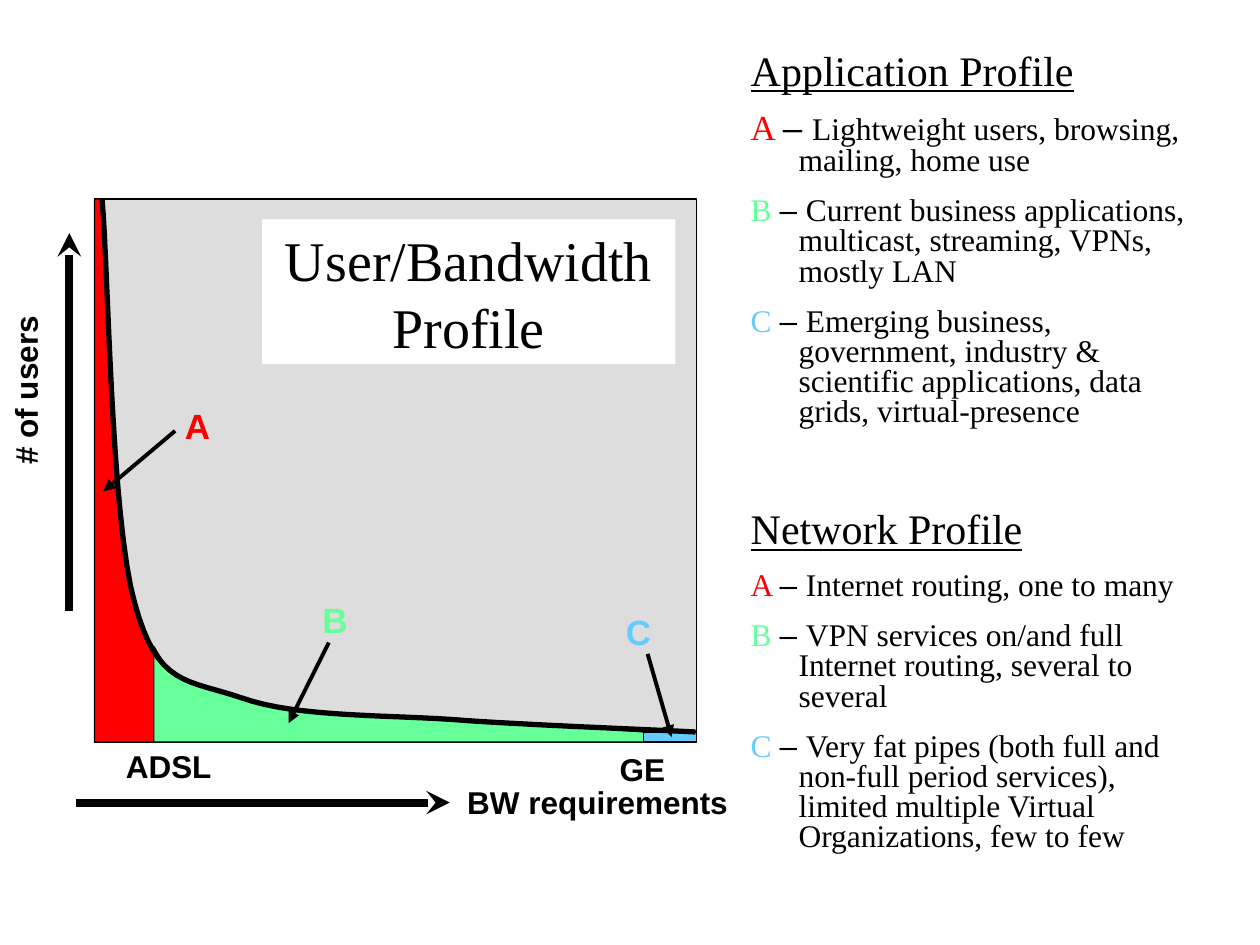
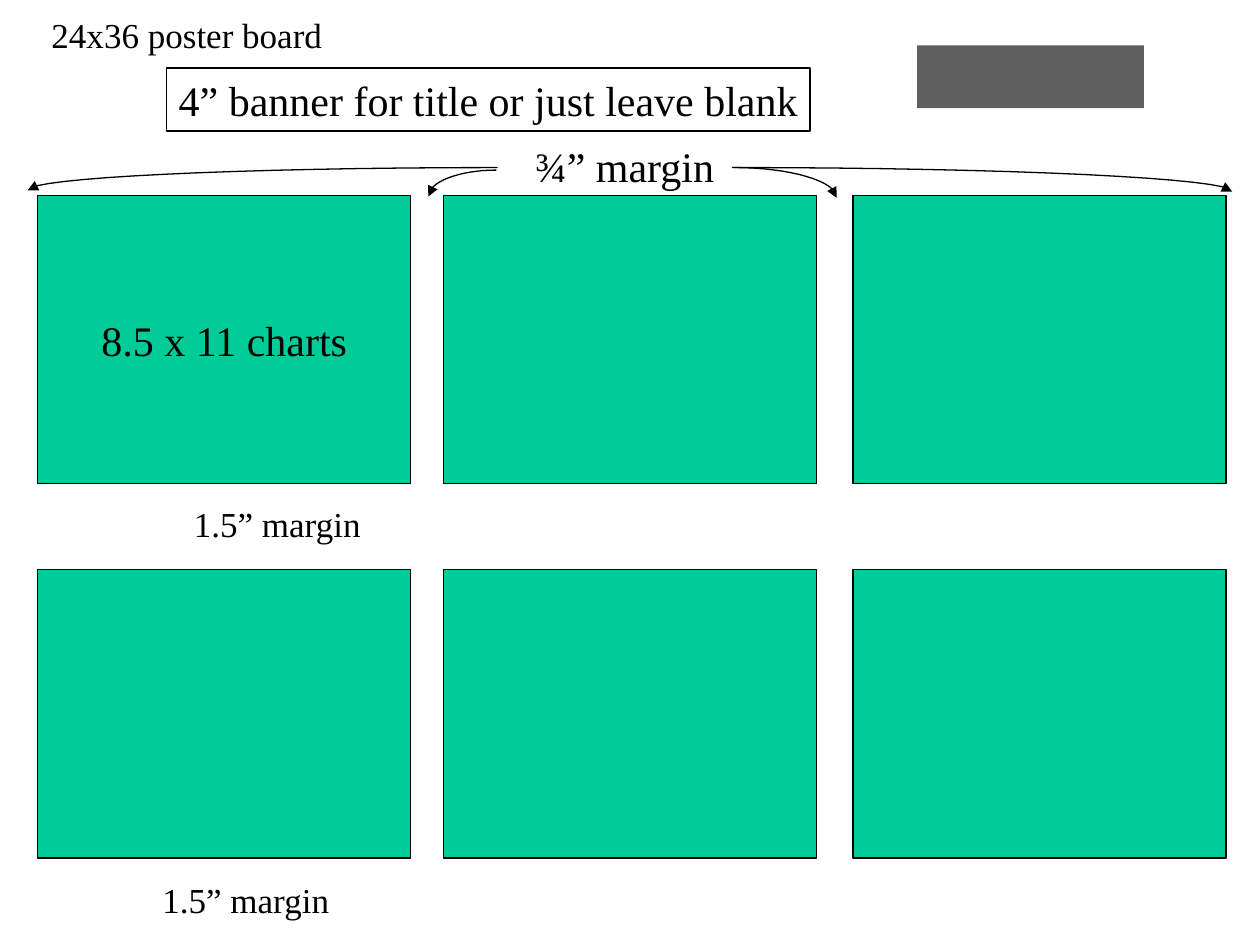
from dataclasses import dataclass

from lxml import etree
from pptx import Presentation
from pptx.dml.color import RGBColor
from pptx.enum.shapes import MSO_CONNECTOR, MSO_SHAPE
from pptx.enum.text import MSO_ANCHOR, MSO_AUTO_SIZE, PP_ALIGN
from pptx.oxml.ns import qn
from pptx.util import Inches, Pt

RECTANGLE = MSO_SHAPE.RECTANGLE
STRAIGHT = MSO_CONNECTOR.STRAIGHT
LEFT, CENTER = PP_ALIGN.LEFT, PP_ALIGN.CENTER
TOP, MIDDLE = MSO_ANCHOR.TOP, MSO_ANCHOR.MIDDLE
FIT_SHAPE = MSO_AUTO_SIZE.SHAPE_TO_FIT_TEXT

SERIF, SANS = "Times New Roman", "Arial"
COLORS = {
    "black": "000000", "white": "FFFFFF", "plot": "DDDDDD", "chart": "00CC99",
    "logo": "5F5F5F", "A": "FF0000", "B": "66FF99", "C": "66CCFF",
}
THIN = 0.75
BLANK_LAYOUT = 6

Point = tuple[float, float]
Area = tuple[float, float, float, float]


@dataclass
class Label:
    text: str
    area: Area
    size: float
    font: str = SERIF
    color: str = "black"
    bold: bool = False
    spacing: float = 1.0


@dataclass
class Profile:
    title: str
    area: Area
    entries: dict[str, str]
    first_size: float = 18


@dataclass
class Arrow:
    start: Point
    end: Point
    width: float
    head: str


# Shared drawing functions
def rgb(name: str) -> RGBColor:
    return RGBColor.from_string(COLORS[name])


def add_span(para, text: str, *, size: float, font: str = SERIF, color: str = "black",
             bold: bool = False, underline: bool = False) -> None:
    span = para.add_run()
    span.text = text
    span.font.size = Pt(size)
    span.font.name = font
    span.font.bold = bold
    span.font.underline = underline
    span.font.color.rgb = rgb(color)


def add_arrowhead(line_shape, head: str) -> None:
    line = line_shape._element.spPr.find(qn("a:ln"))
    etree.SubElement(line, qn("a:tailEnd"), type=head)


def paint(shape, fill: str | None, line: str | None, width: float = THIN) -> None:
    shape.shadow.inherit = False
    if fill:
        shape.fill.solid()
        shape.fill.fore_color.rgb = rgb(fill)
    else:
        shape.fill.background()
    if line:
        shape.line.color.rgb = rgb(line)
        shape.line.width = Pt(width)
    else:
        shape.line.fill.background()


def add_rectangle(page, area: Area, fill: str | None, line: str | None = "black"):
    box = page.shapes.add_shape(RECTANGLE, *map(Inches, area))
    paint(box, fill, line)
    return box


def set_text(box, text: str, *, align=LEFT, anchor=TOP, wrap: bool = False,
             spacing: float = 1.0, **span_format) -> None:
    frame = box.text_frame
    frame.word_wrap = wrap
    frame.vertical_anchor = anchor
    para = frame.paragraphs[0]
    para.alignment = align
    para.line_spacing = spacing
    add_span(para, text, **span_format)


def add_label(page, label: Label):
    box = page.shapes.add_textbox(*map(Inches, label.area))
    set_text(box, label.text, spacing=label.spacing, size=label.size,
             font=label.font, color=label.color, bold=label.bold)
    box.text_frame.auto_size = FIT_SHAPE
    return box


def add_arrow(page, arrow: Arrow) -> None:
    connector = page.shapes.add_connector(STRAIGHT, *map(Inches, arrow.start + arrow.end))
    connector.line.color.rgb = rgb("black")
    connector.line.width = Pt(arrow.width)
    add_arrowhead(connector, arrow.head)
    etree.SubElement(connector._element.spPr, qn("a:effectLst"))


def add_outline(page, points: list[Point], close: bool):
    corners = [(Inches(x), Inches(y)) for x, y in points]
    builder = page.shapes.build_freeform(*corners[0], scale=1.0)
    builder.add_line_segments(corners[1:], close=close)
    return builder.convert_to_shape()


def add_curve(page, nodes: list[Point], width: float):
    """Trace chained cubic curves: a start, then two controls and an end for each."""
    steps = 16
    points = [nodes[0]]
    for first in range(0, len(nodes) - 1, 3):
        a, b, c, d = nodes[first:first + 4]
        for step in range(1, steps + 1):
            t = step / steps
            u = 1 - t
            weights = (u ** 3, 3 * u * u * t, 3 * u * t * t, t ** 3)
            points.append(tuple(sum(w * node[axis] for w, node in zip(weights, (a, b, c, d)))
                                for axis in (0, 1)))
    curve = add_outline(page, points, close=False)
    paint(curve, None, "black", width)
    return curve


def add_margin_arrow(page, start: Point, end: Point) -> None:
    """Draw a quarter ellipse that leaves level and arrives upright."""
    (x0, y0), (x1, y1) = start, end
    bend = 0.55
    controls = [(x0 + bend * (x1 - x0), y0), (x1, y1 - bend * (y1 - y0))]
    add_arrowhead(add_curve(page, [start, *controls, end], THIN), "triangle")


def add_profile(page, profile: Profile) -> None:
    box = page.shapes.add_textbox(*map(Inches, profile.area))
    frame = box.text_frame
    frame.word_wrap = True
    add_span(frame.paragraphs[0], profile.title, size=24, underline=True)
    size = profile.first_size
    for letter, text in profile.entries.items():
        para = frame.add_paragraph()
        para.space_before = Pt(11.2)
        add_span(para, f"{letter} ", size=size, color=letter)
        add_span(para, "– ", size=size, font=SANS)
        add_span(para, text, size=18)
        size = 18
    for para in frame.paragraphs:
        para.line_spacing = 0.8
        properties = para._p.get_or_add_pPr()
        properties.set("marL", str(Inches(0.38)))
        properties.set("indent", str(Inches(-0.38)))


# Slide 1: user and bandwidth profile
PROFILES = [
    Profile("Application Profile", (5.86, 0.38, 3.73, 1.91), {
        "A": "Lightweight users, browsing, mailing, home use",
        "B": "Current business applications, multicast, streaming, VPNs, mostly LAN",
        "C": "Emerging business, government, industry & scientific applications, "
             "data grids, virtual-presence",
    }, first_size=20),
    Profile("Network Profile", (5.86, 4.02, 3.8, 2.08), {
        "A": "Internet routing, one to many",
        "B": "VPN services on/and full Internet routing, several to several",
        "C": "Very fat pipes (both full and non-full period services), "
             "limited multiple Virtual Organizations, few to few",
    }),
]
REGIONS = {
    "A": [(0.75, 1.58), (0.81, 1.58), (0.87, 2.81), (0.93, 3.89), (0.99, 4.43),
          (1.1, 4.89), (1.22, 5.17), (1.22, 5.89), (0.75, 5.89)],
    "B": [(1.22, 5.13), (1.33, 5.31), (1.52, 5.43), (1.81, 5.51), (1.98, 5.56),
          (2.24, 5.61), (2.93, 5.69), (4.28, 5.75), (5.11, 5.81), (5.11, 5.89), (1.22, 5.89)],
    "C": [(5.11, 5.81), (5.53, 5.81), (5.53, 5.89), (5.11, 5.89)],
}
USER_CURVE = [
    (0.81, 1.58), (0.86, 2.11), (0.88, 4.13), (1.07, 4.79), (1.25, 5.45), (1.48, 5.39),
    (1.92, 5.54), (2.37, 5.7), (3.11, 5.67), (3.71, 5.72), (4.31, 5.76), (5.14, 5.79),
    (5.52, 5.81),
]
LETTER_PLACES = {"A": (1.37, 3.16), "B": (2.46, 4.7), "C": (4.87, 4.8)}
AXIS_LABELS = [
    Label("BW requirements", (3.61, 6.22, 2.27, 0.34), 18, SANS, bold=True, spacing=0.8),
    Label("ADSL", (0.9, 5.88, 0.88, 0.4), 18, SANS, bold=True),
    Label("GE", (4.82, 5.9, 0.56, 0.4), 18, SANS, bold=True),
]
USERS_LABEL = Label("# of users", (0, 2.51, 0.5, 1.28), 18, SANS, bold=True)
ARROWS = [
    Arrow((0.55, 4.85), (0.55, 1.85), 4.5, "stealth"),
    Arrow((0.6, 6.37), (3.57, 6.37), 4.5, "stealth"),
    Arrow((2.61, 5.1), (2.29, 5.74), 2.25, "triangle"),
    Arrow((1.39, 3.42), (0.82, 3.9), 2.25, "triangle"),
    Arrow((5.14, 5.19), (5.33, 5.85), 2.25, "triangle"),
]


def build_bandwidth_page(page) -> None:
    for profile in PROFILES:
        add_profile(page, profile)

    # Plot area with its coloured regions
    add_rectangle(page, (0.75, 1.58, 4.78, 4.31), "plot")
    for letter, corners in REGIONS.items():
        paint(add_outline(page, corners, close=True), letter, "black")
    add_curve(page, USER_CURVE, 3)

    # Labels and arrows
    for letter, place in LETTER_PLACES.items():
        add_label(page, Label(letter, (*place, 0.4, 0.44), 20, SANS, letter, bold=True))
    for label in AXIS_LABELS:
        add_label(page, label)
    users = add_label(page, USERS_LABEL)
    users.rotation = 180
    frame = users.text_frame
    frame.margin_left = frame.margin_right = Inches(0.05)
    frame.margin_top = frame.margin_bottom = Inches(0.1)
    frame._txBody.bodyPr.set("vert", "eaVert")
    for arrow in ARROWS:
        add_arrow(page, arrow)

    # Title
    title = add_rectangle(page, (2.08, 1.74, 3.28, 1.15), "white", None)
    set_text(title, "User/Bandwidth Profile", align=CENTER, wrap=True, size=32)


# Slide 2: poster layout
CHART_LEFTS = (0.3, 3.52, 6.77)
CHART_TOPS = (1.55, 4.52)
CHART_SIZE = (2.96, 2.29)
POSTER_LABELS = [
    Label("24x36 poster board", (0.31, 0.06, 2.35, 0.44), 20),
    Label("1.5” margin", (1.44, 3.94, 1.53, 0.44), 20),
    Label("1.5” margin", (1.19, 6.92, 1.53, 0.44), 20),
    Label("¾” margin", (4.15, 1.07, 1.62, 0.5), 24),
]
MARGIN_ARROWS = [
    ((3.95, 1.33), (0.22, 1.51)),
    ((5.81, 1.33), (9.78, 1.52)),
    ((3.94, 1.35), (3.4, 1.56)),
    ((5.82, 1.33), (6.64, 1.57)),
]


def build_poster_page(page) -> None:
    # Chart grid
    charts = [add_rectangle(page, (left, top, *CHART_SIZE), "chart")
              for top in CHART_TOPS for left in CHART_LEFTS]
    set_text(charts[0], "8.5 x 11 charts", align=CENTER, anchor=MIDDLE, size=24)

    # Banner, logo space and labels
    banner = add_rectangle(page, (1.32, 0.54, 5.11, 0.5), None)
    set_text(banner, "4” banner for title or just leave blank", size=24)
    add_rectangle(page, (7.28, 0.36, 1.8, 0.5), "logo", None)
    for label in POSTER_LABELS:
        add_label(page, label)

    # Margin arrows
    for start, end in MARGIN_ARROWS:
        add_margin_arrow(page, start, end)


def main() -> None:
    deck = Presentation()
    deck.slide_width, deck.slide_height = Inches(10), Inches(7.5)
    for build_page in (build_bandwidth_page, build_poster_page):
        build_page(deck.slides.add_slide(deck.slide_layouts[BLANK_LAYOUT]))
    deck.save("out.pptx")


if __name__ == "__main__":
    main()
